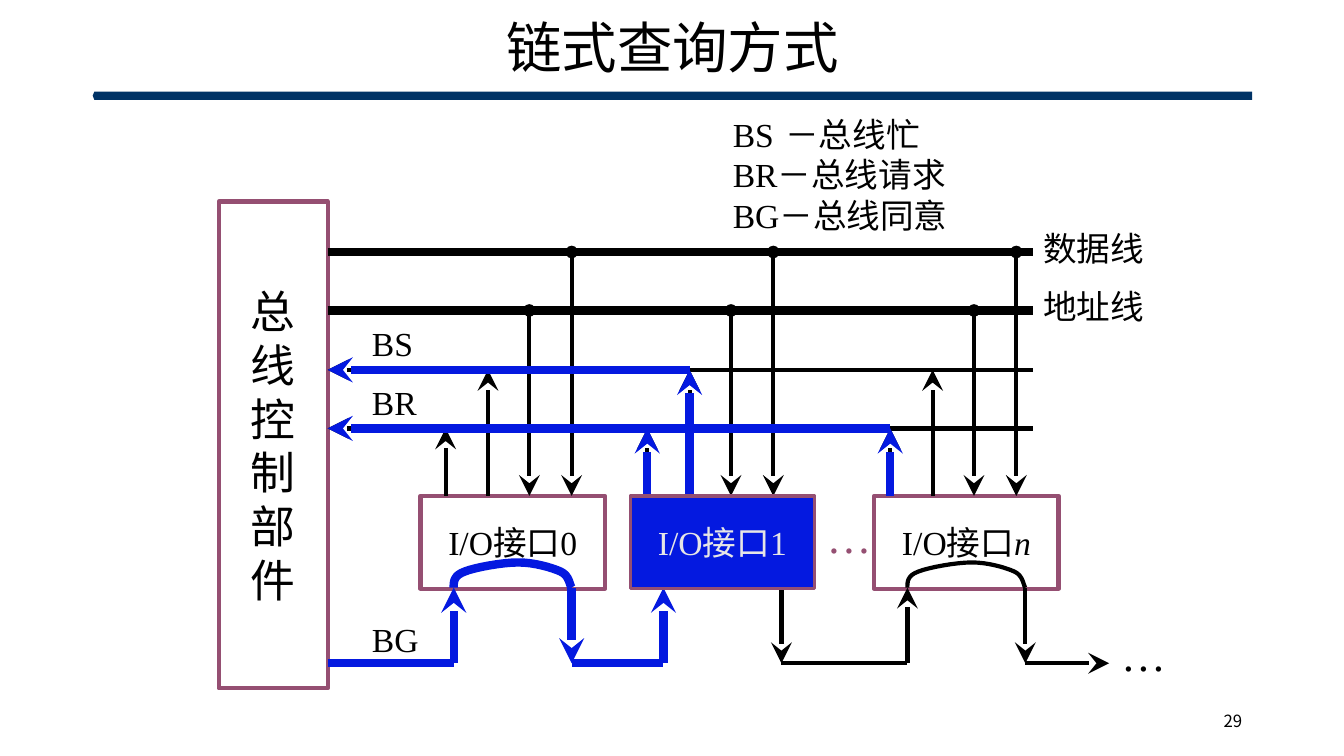
from lxml import etree
from pptx import Presentation
from pptx.dml.color import RGBColor
from pptx.enum.shapes import MSO_CONNECTOR, MSO_SHAPE
from pptx.enum.text import MSO_ANCHOR, MSO_AUTO_SIZE, PP_ALIGN
from pptx.oxml.ns import qn
from pptx.util import Emu, Pt

STRAIGHT = MSO_CONNECTOR.STRAIGHT
RECTANGLE, PENTAGON = MSO_SHAPE.RECTANGLE, MSO_SHAPE.PENTAGON
LEFT, CENTER, RIGHT = PP_ALIGN.LEFT, PP_ALIGN.CENTER, PP_ALIGN.RIGHT
TOP, MIDDLE = MSO_ANCHOR.TOP, MSO_ANCHOR.MIDDLE
FIT = MSO_AUTO_SIZE.SHAPE_TO_FIT_TEXT

PX = 9144
COLORS = {"black": "000000", "blue": "0419E0", "plum": "954F72",
          "navy": "003366", "pale": "E7E6E6"}
SERIF, SANS = "Times New Roman", "Noto Sans CJK SC"

DATA, ADDRESS, BUSY, REQUEST = 250, 308, 367, 425
BUS_LEFT, BUS_RIGHT = 325, 1025
UNIT_TOP, UNIT_BOTTOM, GRANT = 492, 583, 658
SIGNAL_STEPS = (0, 42, 83, 125)
ARCH = [((0, 0), (0, -6), (0, -12), (11, -16)),
        ((11, -16), (21, -20), (48, -25), (64, -25)),
        ((64, -25), (80, -25), (97, -20), (106, -16)),
        ((106, -16), (115, -12), (115, -2), (117, 0))]
CURVE_STEPS = 8


def color(name):
    return RGBColor.from_string(COLORS[name])


def curve_point(curve, t):
    weights = ((1 - t) ** 3, 3 * t * (1 - t) ** 2, 3 * t * t * (1 - t), t ** 3)
    return tuple(sum(w * p[axis] for w, p in zip(weights, curve)) for axis in (0, 1))


def write(frame, lines, size=24, tint="black", font=SERIF, align=LEFT,
          anchor=TOP, wrap=False, fit=False, spacing=None, tab=None):
    frame.word_wrap = wrap
    frame.vertical_anchor = anchor
    if fit:
        frame.auto_size = FIT
    for index, spans in enumerate(lines):
        para = frame.paragraphs[0] if index == 0 else frame.add_paragraph()
        para.alignment = align
        if spacing:
            para.line_spacing = spacing
        if tab and index == 0:
            stops = etree.SubElement(para._p.get_or_add_pPr(), qn("a:tabLst"))
            etree.SubElement(stops, qn("a:tab"), pos=str(tab * PX), algn="l")
        for text in spans:
            span = para.add_run()
            span.text = text
            span.font.size = Pt(size)
            span.font.color.rgb = color(tint)
            span.font.name = font
            if text == "n":
                span.font.italic = True
            etree.SubElement(span._r.get_or_add_rPr(), qn("a:ea"), typeface=SANS)


class Diagram:
    def __init__(self, page):
        self.shapes = page.shapes

    def box(self, left, top, width, height, kind=RECTANGLE, fill=None, line=None, weight=3):
        box = self.shapes.add_shape(kind, *(Emu(v * PX) for v in (left, top, width, height)))
        box.shadow.inherit = False
        if fill:
            box.fill.solid()
            box.fill.fore_color.rgb = color(fill)
        else:
            box.fill.background()
        if line:
            box.line.color.rgb = color(line)
            box.line.width = Pt(weight)
        else:
            box.line.fill.background()
        return box

    def text(self, left, top, width, height, lines, **style):
        box = self.shapes.add_textbox(*(Emu(v * PX) for v in (left, top, width, height)))
        write(box.text_frame, lines, **style)

    def stroke(self, shape, tint, weight, head=None, tail=None):
        shape.line.color.rgb = color(tint)
        shape.line.width = Pt(weight)
        outline = shape.line._get_or_add_ln()
        for tag, kind in (("a:headEnd", head), ("a:tailEnd", tail)):
            if kind:
                size = "lg" if kind == "stealth" and weight == 3 else "med"
                etree.SubElement(outline, qn(tag), type=kind, w=size, len=size)

    def line(self, start, end, tint="black", weight=3, head=None, tail=None):
        line = self.shapes.add_connector(STRAIGHT, *(Emu(v * PX) for v in start + end))
        self.stroke(line, tint, weight, head, tail)
        etree.SubElement(line._element.spPr, qn("a:effectLst"))

    def arch(self, left, tint="black", weight=3):
        points = [(left + x, UNIT_BOTTOM + y) for x, y in
                  (curve_point(curve, step / CURVE_STEPS)
                   for curve in ARCH for step in range(CURVE_STEPS + 1))]
        points = [(round(x * PX), round(y * PX)) for x, y in points]
        builder = self.shapes.build_freeform(*points[0])
        builder.add_line_segments(points[1:], close=False)
        arch = builder.convert_to_shape()
        arch.shadow.inherit = False
        arch.fill.background()
        self.stroke(arch, tint, weight)


def main():
    deck = Presentation()
    deck.slide_width, deck.slide_height = Emu(1333 * PX), Emu(750 * PX)
    page = deck.slides.add_slide(deck.slide_layouts[6])
    diagram = Diagram(page)

    rule = diagram.box(92, 91, 1150, 8, kind=PENTAGON, fill="navy")
    rule.adjustments[0] = 0.2
    rule._element.spPr.xfrm.set("flipH", "1")
    diagram.text(92, 17, 1150, 66, [["链式查询方式"]], size=39.6, font=SANS,
                 align=CENTER, anchor=MIDDLE, wrap=True, spacing=0.9)

    controller = diagram.box(217, 200, 108, 483, line="plum")
    write(controller.text_frame, list("总线控制部件"), size=32, align=CENTER, anchor=MIDDLE)

    for y in (DATA, ADDRESS):
        diagram.line((BUS_LEFT, y), (BUS_RIGHT, y), weight=6)
    for y in (BUSY, REQUEST):
        diagram.line((BUS_LEFT, y), (BUS_RIGHT, y), head="stealth")

    units = [(417, 442, ["I/O接口0"]), (625, 642, None), (867, 883, ["I/O接口", "n"])]
    for left, signal, name in units:
        if name:
            unit = diagram.box(left, UNIT_TOP, 183, 92, line="plum")
            write(unit.text_frame, [name], align=CENTER, anchor=MIDDLE)
        request, busy, address, data = (signal + step for step in SIGNAL_STEPS)
        for x, y in ((request, REQUEST), (busy, BUSY)):
            diagram.line((x, UNIT_TOP), (x, y), tail="stealth")
        for x, y in ((address, ADDRESS), (data, DATA)):
            diagram.line((x, y), (x, UNIT_TOP), head="oval", tail="stealth")

    for left, top, width, label in ((359, 315, 61, "BS"), (359, 374, 66, "BR"),
                                    (359, 609, 68, "BG"), (1025, 221, 121, "数据线"),
                                    (1025, 279, 121, "地址线")):
        diagram.text(left, top, width, 50, [[label]], fit=True)
    for left, top, tint in ((810, 500, "plum"), (1102, 617, "black")):
        diagram.text(left, top, 65, 63, [["…"]], size=32, tint=tint, fit=True)
    diagram.text(717, 108, 297, 134, [["BS\t－总线忙"], ["BR－总线请求"], ["BG－总线同意"]],
                 wrap=True, fit=True, tab=52)

    diagram.arch(900)
    for x in (775, 1017):
        diagram.line((x, UNIT_BOTTOM), (x, GRANT), tail="stealth")
    diagram.line((775, GRANT), (900, GRANT))
    diagram.line((900, GRANT), (900, UNIT_BOTTOM), tail="stealth")
    diagram.line((1017, GRANT), (1100, GRANT), tail="stealth")

    active = {"tint": "blue", "weight": 6}
    diagram.line((684, BUSY), (BUS_LEFT, BUSY), tail="stealth", **active)
    diagram.line((BUS_LEFT, REQUEST), (883, REQUEST), head="stealth", **active)
    for x, start, end in ((642, UNIT_TOP, REQUEST), (883, UNIT_TOP, REQUEST),
                          (684, UNIT_TOP, BUSY), (450, GRANT, UNIT_BOTTOM),
                          (567, UNIT_BOTTOM, GRANT), (658, GRANT, UNIT_BOTTOM)):
        diagram.line((x, start), (x, end), tail="stealth", **active)
    for start, end in ((BUS_LEFT, 450), (567, 658)):
        diagram.line((start, GRANT), (end, GRANT), **active)
    diagram.arch(450, **active)

    chosen = diagram.box(625, UNIT_TOP, 183, 92, fill="blue", line="plum", weight=2.25)
    write(chosen.text_frame, [["I/O接口1"]], tint="pale", align=CENTER, anchor=MIDDLE)

    diagram.text(942, 695, 300, 40, [["29"]], size=12, font=SANS,
                 align=RIGHT, anchor=MIDDLE, wrap=True)
    deck.save("out.pptx")


if __name__ == "__main__":
    main()
